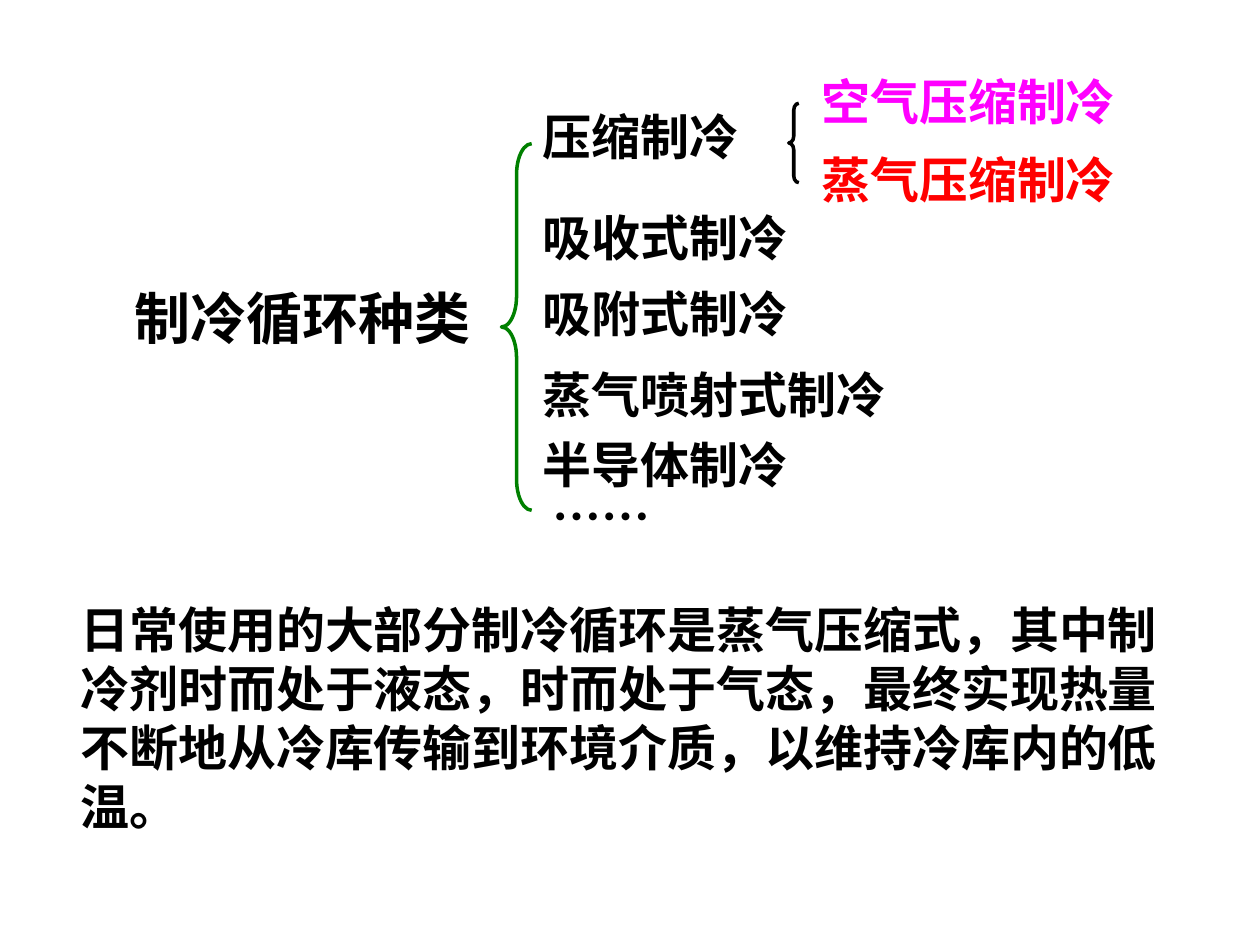
from dataclasses import dataclass

from lxml.etree import SubElement
from pptx import Presentation
from pptx.dml.color import RGBColor
from pptx.enum.shapes import MSO_SHAPE as Preset
from pptx.enum.text import MSO_AUTO_SIZE as AutoSize
from pptx.oxml.ns import qn
from pptx.slide import Slide
from pptx.util import Inches, Pt


@dataclass(frozen=True)
class Theme:
    ink: RGBColor = RGBColor(0, 0, 0)
    air: RGBColor = RGBColor(0xFF, 0, 0xFF)
    vapour: RGBColor = RGBColor(0xFF, 0, 0)
    main_brace: RGBColor = RGBColor(0, 0x80, 0)
    latin: str = "Times New Roman"
    chinese: str = "Noto Sans CJK SC"
    body_size: int = 28
    root_size: int = 32
    brace_width: int = 2


THEME = Theme()


@dataclass(frozen=True)
class Label:
    text: str
    left: float
    top: float
    width: float
    height: float = 0.57
    color: RGBColor = THEME.ink
    font: str = THEME.latin
    size: int = THEME.body_size
    wrap: bool = True


@dataclass(frozen=True)
class Brace:
    left: float
    top: float
    width: float
    height: float
    curl: float
    color: RGBColor


KIND_LEFT = 4.21
SUBKIND_LEFT, SUBKIND_WIDTH = 6.42, 2.68

LABELS = [
    Label("制冷循环种类", 0.97, 2.2, 2.89, 0.64,
          font=THEME.chinese, size=THEME.root_size, wrap=False),
    Label("压缩制冷", KIND_LEFT, 0.8, 1.97),
    Label("吸收式制冷", KIND_LEFT, 1.6, 2.52),
    Label("吸附式制冷", KIND_LEFT, 2.2, 2.52),
    Label("蒸气喷射式制冷", KIND_LEFT, 2.84, 3.26),
    Label("半导体制冷", KIND_LEFT, 3.4, 2.36),
    Label("……", 4.29, 3.81, 2.2, font=THEME.chinese),
    Label("空气压缩制冷", SUBKIND_LEFT, 0.52, SUBKIND_WIDTH, color=THEME.air),
    Label("蒸气压缩制冷", SUBKIND_LEFT, 1.14, SUBKIND_WIDTH, color=THEME.vapour),
    Label("日常使用的大部分制冷循环是蒸气压缩式，其中制冷剂时而处于液态，"
          "时而处于气态，最终实现热量不断地从冷库传输到环境介质，"
          "以维持冷库内的低温。", 0.54, 4.71, 8.87, 1.99, font=THEME.chinese),
]

BRACES = [
    Brace(3.98, 1.14, 0.24, 2.91, curl=1.02, color=THEME.main_brace),
    Brace(6.26, 0.82, 0.08, 0.63, curl=0.67, color=THEME.ink),
]


def add_label(slide: Slide, label: Label) -> None:
    box = slide.shapes.add_textbox(Inches(label.left), Inches(label.top),
                                   Inches(label.width), Inches(label.height))
    frame = box.text_frame
    frame.word_wrap = label.wrap
    frame.auto_size = AutoSize.SHAPE_TO_FIT_TEXT
    paragraph = frame.paragraphs[0]
    paragraph.text = label.text
    font = paragraph.font
    font.size = Pt(label.size)
    font.bold = True
    font.color.rgb = label.color
    font.name = label.font
    properties = paragraph._p.pPr.find(qn("a:defRPr"))
    SubElement(properties, qn("a:ea")).set("typeface", THEME.chinese)


def add_brace(slide: Slide, brace: Brace) -> None:
    shape = slide.shapes.add_shape(Preset.LEFT_BRACE, Inches(brace.left), Inches(brace.top),
                                   Inches(brace.width), Inches(brace.height))
    shape.adjustments[0] = brace.curl
    shape.shadow.inherit = False
    shape.fill.background()
    shape.line.color.rgb = brace.color
    shape.line.width = Pt(THEME.brace_width)


def main() -> None:
    deck = Presentation()
    deck.slide_width, deck.slide_height = Inches(10), Inches(7.5)
    slide = deck.slides.add_slide(deck.slide_layouts.get_by_name("Blank"))
    for brace in BRACES:
        add_brace(slide, brace)
    for label in LABELS:
        add_label(slide, label)
    deck.save("out.pptx")


if __name__ == "__main__":
    main()
